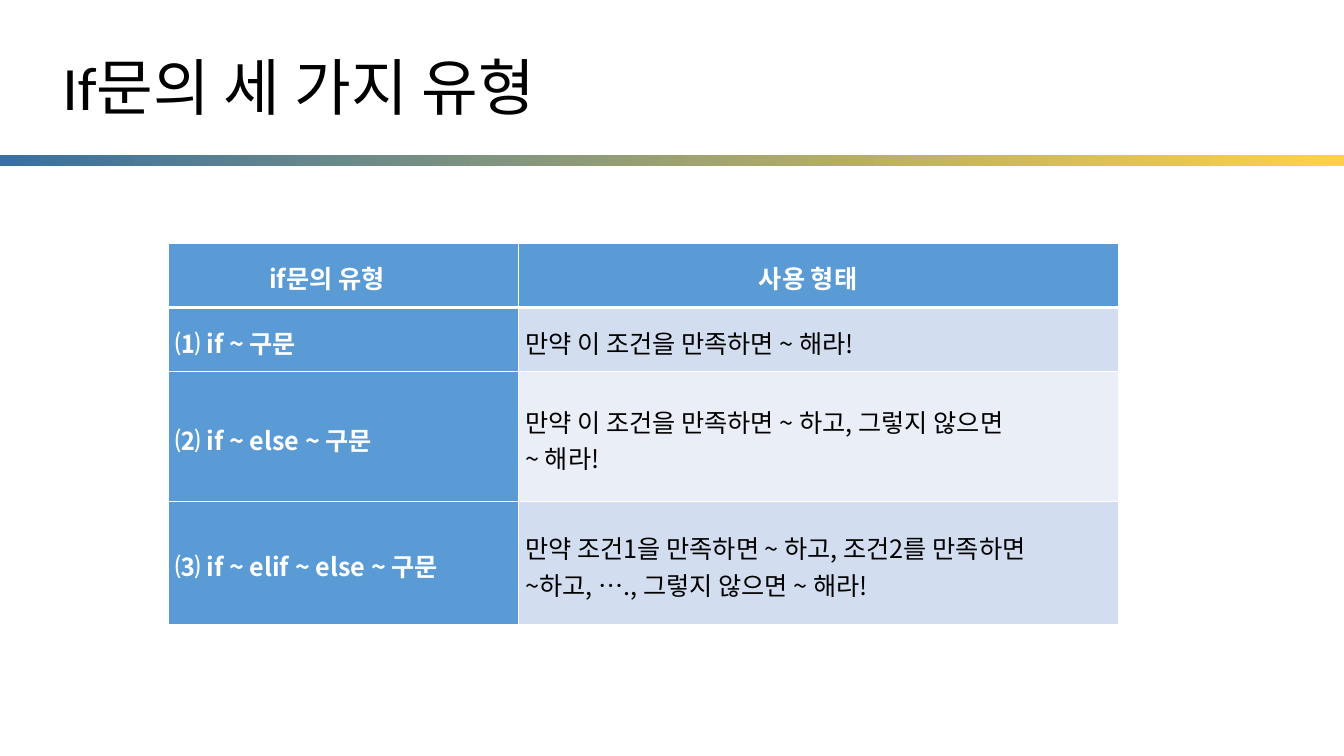
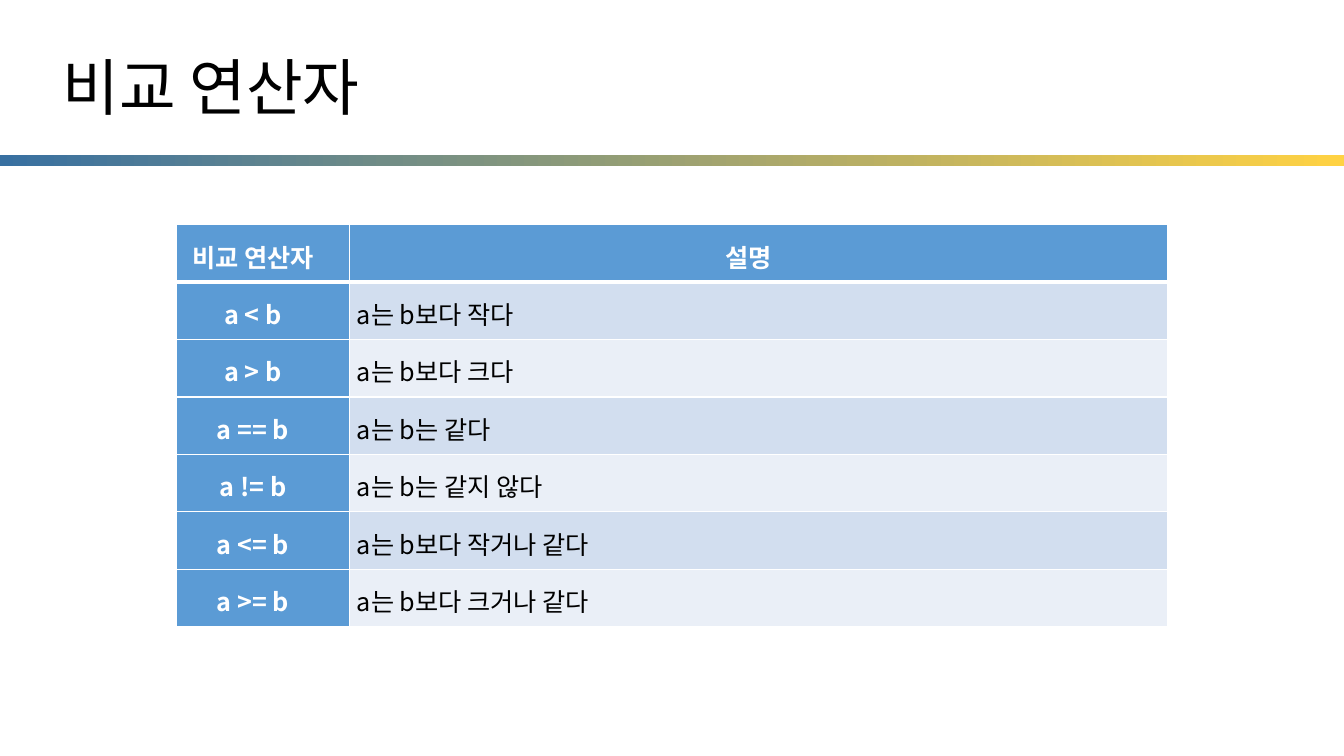
from dataclasses import dataclass

import lxml.etree
import pptx
import pptx.dml.color
import pptx.enum.shapes
import pptx.enum.text
import pptx.oxml.ns
import pptx.util

Inches = pptx.util.Inches
Pt = pptx.util.Pt
qn = pptx.oxml.ns.qn
RGB = pptx.dml.color.RGBColor.from_string
ALIGN = pptx.enum.text.PP_ALIGN
ANCHOR = pptx.enum.text.MSO_ANCHOR


@dataclass(frozen=True)
class Theme:
    band_start: str = "3870A1"
    band_end: str = "FFD243"
    header: str = "5B9BD5"
    rows: tuple = ("D2DEEF", "EAEFF7")
    dark: str = "000000"
    light: str = "FFFFFF"
    title_font: str = "Calibri"
    body_font: str = "Noto Sans CJK KR"
    title_size: int = 44
    body_size: int = 18
    thin: int = 1
    thick: int = 3


class Deck:
    def __init__(self, theme):
        self.theme = theme
        self.prs = pptx.Presentation()
        self.prs.slide_width = Inches(13.33)
        self.prs.slide_height = Inches(7.5)
        self.s = None

    def slide(self, title):
        self.s = self.prs.slides.add_slide(self.prs.slide_layouts[6])
        self.band()
        self.title(title)

    def band(self):
        sp = self.s.shapes.add_shape(
            pptx.enum.shapes.MSO_SHAPE.RECTANGLE,
            0, Inches(1.54), self.prs.slide_width, Inches(0.11))
        sp.shadow.inherit = False
        sp.line.fill.background()
        sp.fill.gradient()
        sp.fill.gradient_angle = 0
        colors = (self.theme.band_start, self.theme.band_end)
        for stop, color in zip(sp.fill.gradient_stops, colors):
            stop.color.rgb = RGB(color)

    def title(self, text):
        sp = self.s.shapes.add_textbox(Inches(0.61), Inches(0.47), Inches(12), Inches(0.75))
        tf = sp.text_frame
        tf.word_wrap = True
        tf.vertical_anchor = ANCHOR.MIDDLE
        tf.margin_left = tf.margin_top = Inches(0.01)
        tf.margin_right = tf.margin_bottom = 0
        tf.text = text
        self.style(tf.paragraphs[0], self.theme.title_font, self.theme.title_size, self.theme.dark)

    def style(self, p, name, size, color, bold=False):
        p.font.name = name
        p.font.size = Pt(size)
        p.font.bold = bold
        p.font.color.rgb = RGB(color)
        props = p._p.pPr.find(qn("a:defRPr"))
        lxml.etree.SubElement(props, qn("a:ea")).set("typeface", self.theme.body_font)

    def borders(self, cell, row):
        t = self.theme
        widths = {"L": t.thin, "R": t.thin,
                  "T": t.thick if row == 1 else t.thin,
                  "B": t.thick if row == 0 else t.thin}
        props = cell._tc.get_or_add_tcPr()
        for side, width in widths.items():
            line = lxml.etree.SubElement(props, qn(f"a:ln{side}"), w=str(Pt(width)))
            fill = lxml.etree.SubElement(line, qn("a:solidFill"))
            lxml.etree.SubElement(fill, qn("a:srgbClr"), val=t.light)

    def cell(self, cell, text, row, col, indent):
        t = self.theme
        heading = row == 0 or col == 0
        self.borders(cell, row)
        cell.fill.solid()
        cell.fill.fore_color.rgb = RGB(t.header if heading else t.rows[(row - 1) % 2])
        cell.vertical_anchor = ANCHOR.MIDDLE
        cell.margin_top = Inches(0.05)
        cell.margin_bottom = 0
        cell.margin_left = Inches(indent or 0)
        cell.margin_right = Inches(0.2 if indent is None else 0)
        cell.text_frame.text = text
        for p in cell.text_frame.paragraphs:
            p.alignment = ALIGN.CENTER if indent is None else ALIGN.LEFT
            self.style(p, t.body_font, t.body_size, t.light if heading else t.dark, heading)

    def table(self, left, top, widths, heights, data, head_indents, body_indents):
        table = self.s.shapes.add_table(
            len(heights), len(widths), Inches(left), Inches(top),
            Inches(sum(widths)), Inches(sum(heights))).table
        for column, width in zip(table.columns, widths):
            column.width = Inches(width)
        for row, (height, texts) in enumerate(zip(heights, data)):
            table.rows[row].height = Inches(height)
            indents = body_indents if row else head_indents
            for col, (text, indent) in enumerate(zip(texts, indents)):
                self.cell(table.cell(row, col), text, row, col, indent)


def main():
    deck = Deck(Theme())

    deck.slide("If문의 세 가지 유형")
    if_forms = [
        ("if문의 유형", "사용 형태"),
        ("⑴ if ~ 구문", "만약 이 조건을 만족하면 ~ 해라!"),
        ("⑵ if ~ else ~ 구문", "만약 이 조건을 만족하면 ~ 하고, 그렇지 않으면\n~ 해라!"),
        ("⑶ if ~ elif ~ else ~ 구문",
         "만약 조건1을 만족하면 ~ 하고, 조건2를 만족하면\n~하고, …., 그렇지 않으면 ~ 해라!"),
    ]
    deck.table(1.67, 2.41, (3.47, 5.95), (0.64, 0.64, 1.29, 1.22), if_forms,
               head_indents=(1, None), body_indents=(0.07, 0.07))

    deck.slide("비교 연산자")
    operators = [
        ("비교 연산자", "설명"),
        ("a < b", "a는 b보다 작다"),
        ("a > b", "a는 b보다 크다"),
        ("a == b", "a는 b는 같다"),
        ("a != b", "a는 b는 같지 않다"),
        ("a <= b", "a는 b보다 작거나 같다"),
        ("a >= b", "a는 b보다 크거나 같다"),
    ]
    deck.table(1.75, 2.23, (1.72, 8.11), (0.57,) * len(operators), operators,
               head_indents=(None, None), body_indents=(None, 0.07))

    deck.prs.save("out.pptx")


if __name__ == "__main__":
    main()
